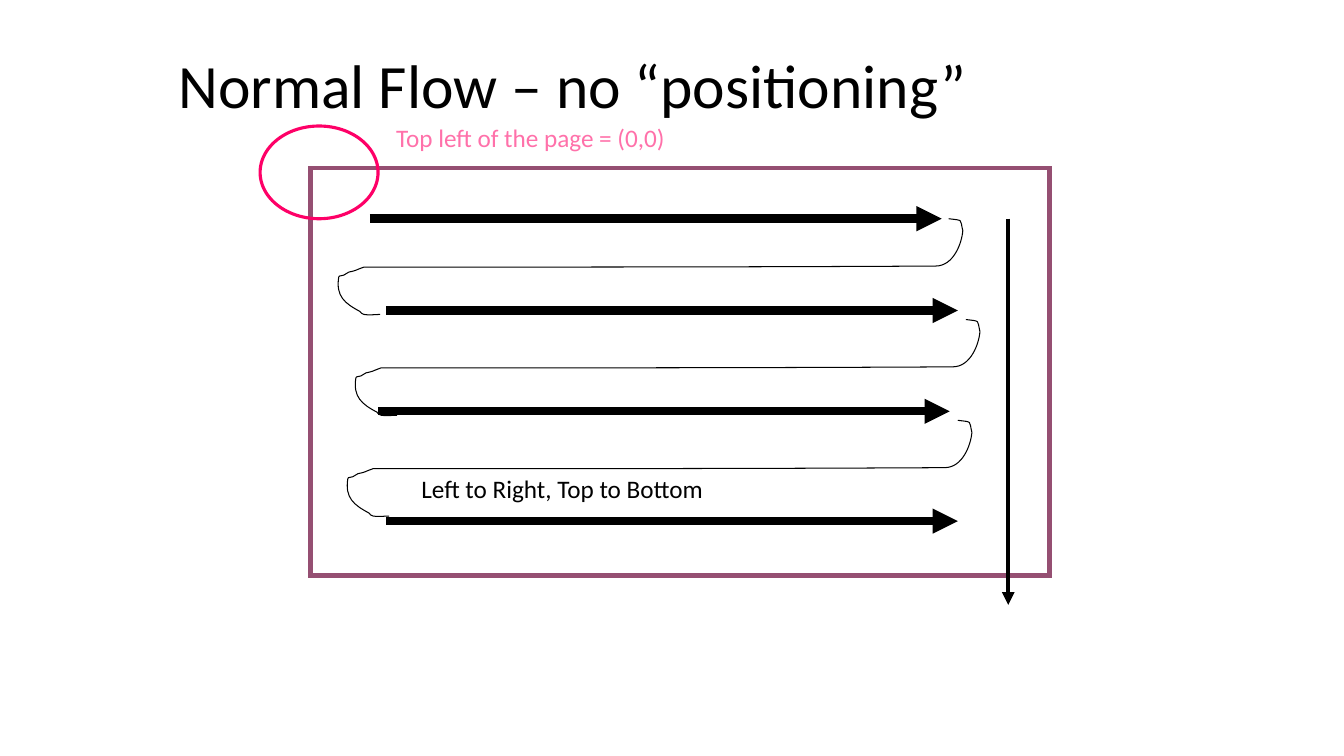
from dataclasses import dataclass

from lxml.etree import SubElement
from pptx import Presentation
from pptx.dml.color import RGBColor
from pptx.enum.shapes import MSO_CONNECTOR, MSO_SHAPE
from pptx.enum.text import MSO_ANCHOR, MSO_AUTO_SIZE, PP_ALIGN
from pptx.oxml.ns import qn
from pptx.shapes.autoshape import Shape
from pptx.slide import Slide
from pptx.util import Inches, Pt


@dataclass(frozen=True)
class Theme:
    font: str = "Calibri"
    ink: RGBColor = RGBColor(0x00, 0x00, 0x00)
    page_border: RGBColor = RGBColor(0x95, 0x4F, 0x72)
    origin_ring: RGBColor = RGBColor(0xFE, 0x00, 0x67)
    origin_label: RGBColor = RGBColor(0xFF, 0x71, 0xAA)
    title_size: int = 44
    body_size: int = 18


@dataclass(frozen=True)
class Box:
    left: float
    top: float
    width: float
    height: float

    def lengths(self) -> tuple[Inches, ...]:
        return tuple(Inches(v) for v in (self.left, self.top, self.width, self.height))


@dataclass(frozen=True)
class Arrow:
    start: tuple[float, float]
    end: tuple[float, float]
    weight: float


THEME = Theme()
ROW_LENGTH = 5.67
ROW_STARTS = [(3.67, 2.17), (3.83, 3.08), (3.75, 4.08), (3.83, 5.17)]
ARROWS = [Arrow((x, y), (x + ROW_LENGTH, y), 6) for x, y in ROW_STARTS]
ARROWS.append(Arrow((10, 2.17), (10, 6), 3))

RETURN_ORIGINS = [(3.33, 2.17), (3.5, 3.17), (3.42, 4.17)]
# A start point, then two control points and an end point for each cubic curve
RETURN_POINTS = [
    (6.08, 0),
    (6.23, 0.02), (6.19, 0), (6.22, 0.12),
    (6.21, 0.24), (6.13, 0.47), (5.95, 0.47),
    (4.06, 0.48), (2.17, 0.48), (0.28, 0.48),
    (0.17, 0.52), (0.22, 0.51), (0.13, 0.53),
    (0.11, 0.54), (0.1, 0.55), (0.08, 0.56),
    (0.07, 0.57), (0.03, 0.56), (0.03, 0.58),
    (0, 0.77), (0.09, 0.84), (0.24, 0.92),
    (0.25, 0.93), (0.26, 0.95), (0.28, 0.95),
    (0.33, 0.96), (0.39, 0.95), (0.44, 0.95),
]


def outline(shape: Shape, color: RGBColor, weight: float) -> None:
    shape.shadow.inherit = False
    shape.fill.background()
    shape.line.color.rgb = color
    shape.line.width = Pt(weight)
    SubElement(shape.line._get_or_add_ln(), qn("a:miter"), lim="800000")


def write(shape: Shape, text: str, size: int, color: RGBColor) -> None:
    frame = shape.text_frame
    frame.word_wrap = True
    frame.auto_size = MSO_AUTO_SIZE.NONE
    frame.text = text
    paragraph = frame.paragraphs[0]
    paragraph.alignment = PP_ALIGN.LEFT
    paragraph.font.name = THEME.font
    paragraph.font.size = Pt(size)
    paragraph.font.color.rgb = color


def add_title(slide: Slide, text: str, box: Box) -> None:
    title = slide.shapes.title
    title.left, title.top, title.width, title.height = box.lengths()
    write(title, text, THEME.title_size, THEME.ink)
    title.text_frame.vertical_anchor = MSO_ANCHOR.MIDDLE
    title.text_frame.paragraphs[0].line_spacing = 0.9


def add_page(slide: Slide, text: str, box: Box) -> None:
    page = slide.shapes.add_shape(MSO_SHAPE.RECTANGLE, *box.lengths())
    outline(page, THEME.page_border, 3)
    write(page, text, THEME.body_size, THEME.ink)
    frame = page.text_frame
    frame.vertical_anchor = MSO_ANCHOR.BOTTOM
    frame.margin_left = Inches(1.1)
    frame.margin_bottom = Inches(0.71)


def add_arrow(slide: Slide, arrow: Arrow) -> None:
    ends = (Inches(v) for v in (*arrow.start, *arrow.end))
    connector = slide.shapes.add_connector(MSO_CONNECTOR.STRAIGHT, *ends)
    connector.line.color.rgb = THEME.ink
    connector.line.width = Pt(arrow.weight)
    SubElement(connector.line._get_or_add_ln(), qn("a:tailEnd"), type="triangle")
    SubElement(connector._element.spPr, qn("a:effectLst"))


def bend(shape: Shape) -> None:
    """Turn each three line segments of a freeform into one cubic curve."""
    outline_path = next(shape._element.iter(qn("a:path")))
    segments = outline_path.findall(qn("a:lnTo"))
    for index in range(0, len(segments), 3):
        curve = SubElement(outline_path, qn("a:cubicBezTo"))
        for segment in segments[index:index + 3]:
            curve.append(segment[0])
            outline_path.remove(segment)


def add_return(slide: Slide, origin: tuple[float, float]) -> None:
    left, top = origin
    points = [(Inches(left + x), Inches(top + y)) for x, y in RETURN_POINTS]
    builder = slide.shapes.build_freeform(*points[0])
    builder.add_line_segments(points[1:], close=False)
    shape = builder.convert_to_shape()
    bend(shape)
    outline(shape, THEME.ink, 0.75)


def main() -> None:
    presentation = Presentation()
    presentation.slide_width = Inches(13.33)
    presentation.slide_height = Inches(7.5)
    slide = presentation.slides.add_slide(presentation.slide_layouts.get_by_name("Title Only"))

    add_title(slide, "Normal Flow – no “positioning”", Box(1.67, 0.25, 8.5, 1.25))
    add_page(slide, "Left to Right, Top to Bottom", Box(3.08, 1.67, 7.33, 4.04))
    for arrow in ARROWS:
        add_arrow(slide, arrow)
    for origin in RETURN_ORIGINS:
        add_return(slide, origin)

    ring = slide.shapes.add_shape(MSO_SHAPE.OVAL, *Box(2.58, 1.25, 1.17, 0.92).lengths())
    outline(ring, THEME.origin_ring, 2.25)
    label = slide.shapes.add_textbox(*Box(3.83, 1.16, 6, 0.4).lengths())
    write(label, "Top left of the page = (0,0)", THEME.body_size, THEME.origin_label)

    presentation.save("out.pptx")


if __name__ == "__main__":
    main()
